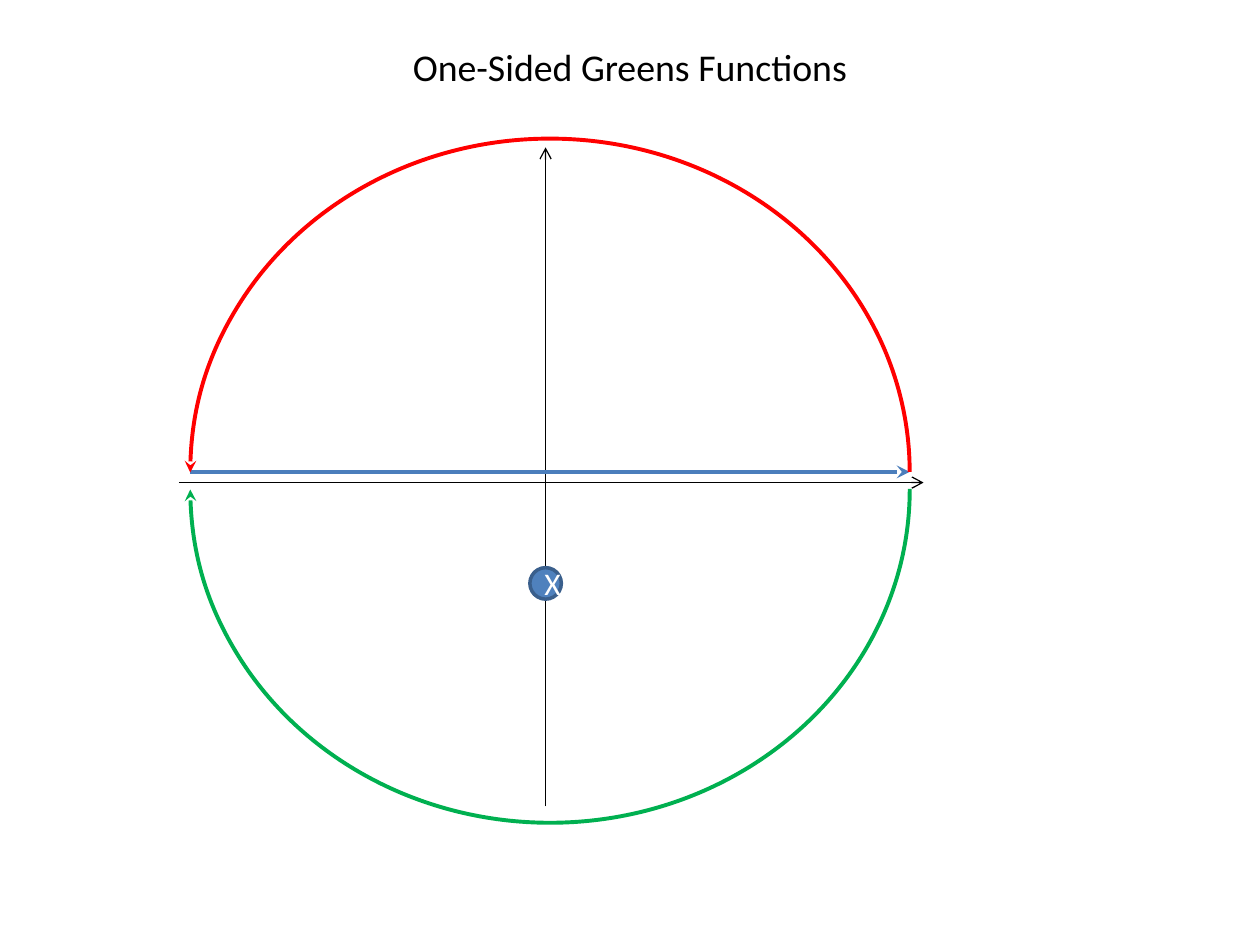
import pptx
import pptx.util
import pptx.dml.color
import pptx.enum.shapes
import pptx.enum.text
import pptx.oxml
import pptx.oxml.ns

RGB = pptx.dml.color.RGBColor
SHAPE = pptx.enum.shapes.MSO_SHAPE
BLACK = RGB(0x00, 0x00, 0x00)
WHITE = RGB(0xFF, 0xFF, 0xFF)
RED = RGB(0xFF, 0x00, 0x00)
GREEN = RGB(0x00, 0xB0, 0x50)
BLUE = RGB(0x4B, 0x7E, 0xBC)
POLE_FILL = RGB(0x4F, 0x81, 0xBD)
POLE_LINE = RGB(0x3A, 0x5F, 0x8C)
COLUMNS, ROWS = 10, 7.5
CELL = pptx.util.Inches(1)


def grid(*cells):
    return [round(c * CELL) for c in cells]


def set_line(shape, color, width, end=None, kind=None):
    shape.line.color.rgb = color
    shape.line.width = pptx.util.Pt(width)
    if end:
        ln = shape.line._get_or_add_ln()
        arrow = pptx.oxml.ns.qn(f"a:{end}")
        ln.append(ln.makeelement(arrow, {"type": kind}))


def set_text(shape, text, size, color):
    tf = shape.text_frame
    tf.text = text
    tf.word_wrap = True
    tf.vertical_anchor = pptx.enum.text.MSO_ANCHOR.MIDDLE
    p = tf.paragraphs[0]
    p.alignment = pptx.enum.text.PP_ALIGN.CENTER
    font = p.runs[0].font
    font.name = "Calibri"
    font.size = pptx.util.Pt(size)
    font.color.rgb = color


def add_arrow(s, start, end, color, width, kind):
    line = s.shapes.add_connector(
        pptx.enum.shapes.MSO_CONNECTOR.STRAIGHT, *grid(*start, *end))
    set_line(line, color, width, "tailEnd", kind)
    line._element.spPr.append(pptx.oxml.parse_xml(
        f"<a:effectLst {pptx.oxml.ns.nsdecls('a')}/>"))


def add_arc(s, box, color, rotation, end):
    arc = s.shapes.add_shape(SHAPE.ARC, *grid(*box))
    arc.shadow.inherit = False
    arc.adjustments[0] = 107.95
    arc.adjustments[1] = 0
    arc.rotation = rotation
    arc.fill.background()
    set_line(arc, color, 2.25, end, "stealth")


def add_title(s, box):
    set_text(s.shapes.add_textbox(*grid(*box)),
             "One-Sided Greens Functions", 21.6, BLACK)


def add_axes(s, x, y, w, h, origin_x, origin_y):
    add_arrow(s, (x, origin_y), (x + w, origin_y), BLACK, 0.75, "arrow")
    add_arrow(s, (origin_x, y + h), (origin_x, y), BLACK, 0.75, "arrow")


def add_pole(s, center_x, center_y, size):
    pole = s.shapes.add_shape(
        SHAPE.OVAL,
        *grid(center_x - size / 2, center_y - size / 2, size, size))
    pole.shadow.inherit = False
    pole.fill.solid()
    pole.fill.fore_color.rgb = POLE_FILL
    set_line(pole, POLE_LINE, 2)
    set_text(pole, "X", 18, WHITE)


def add_contours(s, x, y, w, h, gap):
    path_y = y + h / 2
    add_arrow(s, (x, path_y), (x + w, path_y), BLUE, 2.5, "stealth")
    add_arc(s, (x, y, w, h), RED, 0, "headEnd")
    add_arc(s, (x, y + gap, w, h), GREEN, 180, "tailEnd")


def main():
    prs = pptx.Presentation()
    prs.slide_width, prs.slide_height = grid(COLUMNS, ROWS)
    s = prs.slides.add_slide(prs.slide_layouts[6])
    add_title(s, (0.5, 0.3, COLUMNS - 1, 0.45))
    add_axes(s, 1.42, 1.17, 5.91, 5.23, origin_x=4.33, origin_y=3.83)
    add_pole(s, 4.33, 4.63, 0.25)
    add_contours(s, 1.51, 1.1, 5.71, 5.29, gap=0.14)
    prs.save("out.pptx")


if __name__ == "__main__":
    main()
